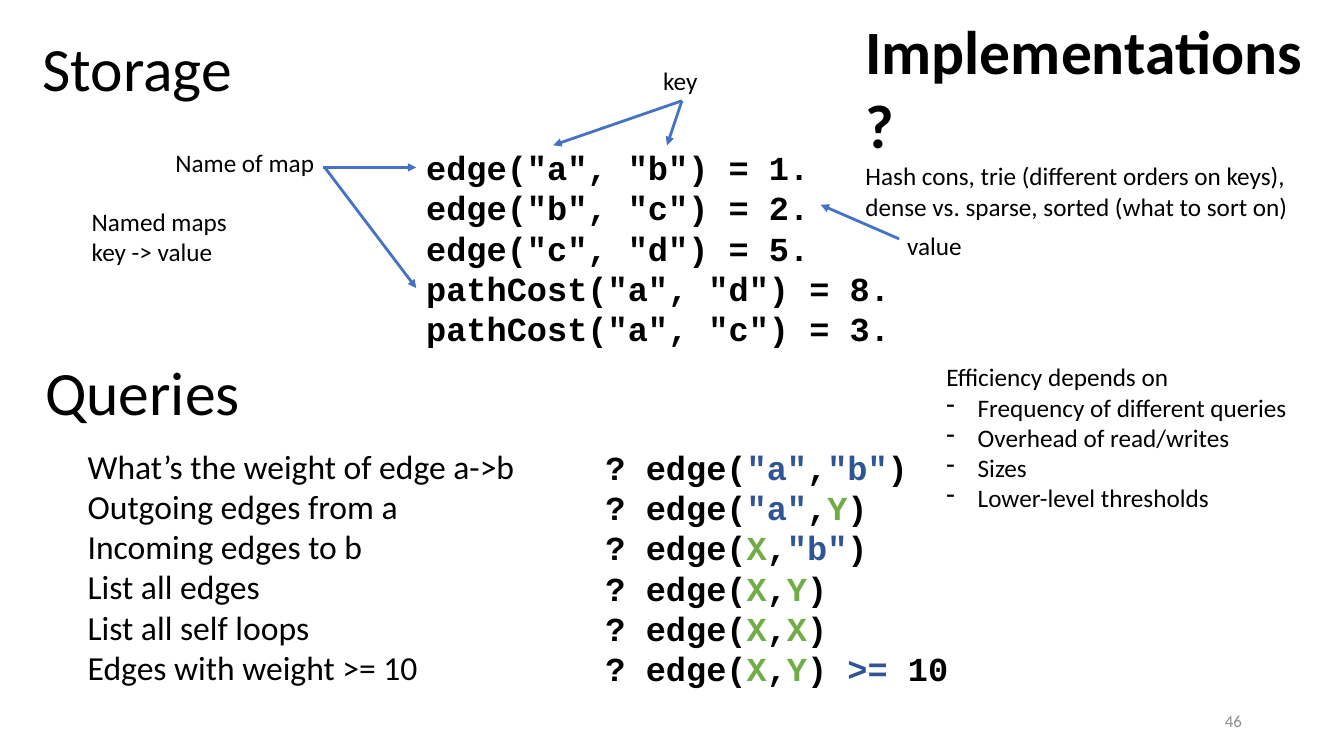
from dataclasses import dataclass

from lxml import etree
from pptx import Presentation
from pptx.dml.color import RGBColor
from pptx.enum import shapes, text
from pptx.oxml.ns import qn
from pptx.util import Cm, Pt

BLACK, GREY = "000000", "8C8C8C"
CONSTANT_BLUE, VARIABLE_GREEN, ARROW_BLUE = "2F5597", "70AD47", "4472C4"
BODY_FONT, CODE_FONT = "Calibri", "Courier New"


@dataclass
class TextBlock:
    left: float
    top: float
    width: float
    height: float
    lines: list[str]
    size: int = 18
    font: str = BODY_FONT
    bold: bool = False
    wrap: bool = True


@dataclass
class Arrow:
    start: tuple[float, float]
    end: tuple[float, float]


STORAGE_FACTS = TextBlock(10.49, 3.58, 12.88, 5.38, [
    'edge("a", "b") = 1.',
    'edge("b", "c") = 2.',
    'edge("c", "d") = 5.',
    'pathCost("a", "d") = 8.',
    'pathCost("a", "c") = 3.',
], 24, CODE_FONT, True)
QUERIES_HEADING = TextBlock(0.89, 8.79, 29.95, 2.13, ["Queries"], 44)
QUESTIONS = TextBlock(1.96, 11.1, 12.67, 6.4, [
    "What’s the weight of edge a->b",
    "Outgoing edges from a",
    "Incoming edges to b",
    "List all edges",
    "List all self loops",
    "Edges with weight >= 10",
], 24)
MAP_NAME_LABEL = TextBlock(4.17, 3.58, 4.06, 1.02, ["Name of map"], wrap=False)
KEY_LABEL = TextBlock(16.46, 1.52, 1.45, 1.02, ["key"], wrap=False)
VALUE_LABEL = TextBlock(22.61, 5.69, 1.9, 1.02, ["value"], wrap=False)
NAMED_MAPS = TextBlock(2.06, 5.08, 4.11, 1.8,
                       ["Named maps", "key -> value"], wrap=False)
IMPLEMENTATIONS = TextBlock(21.56, 0.2, 12.17, 3.68, [
    "Implementations?",
    "Hash cons, trie (different orders on keys), "
    "dense vs. sparse, sorted (what to sort on)",
])
EFFICIENCY = TextBlock(23.6, 8.99, 9.78, 4.11, [
    "Efficiency depends on",
    "Frequency of different queries",
    "Overhead of read/writes",
    "Sizes",
    "Lower-level thresholds",
])
PAGE_NUMBER = TextBlock(23.93, 17.65, 7.62, 1.02, ["46"], 12)

QUERY_AREA = TextBlock(15.01, 11.13, 12.75, 6.4, [], 24, CODE_FONT, True)
QUERIES = [
    ('"a"', '"b"', [")"]),
    ('"a"', "Y", [")"]),
    ("X", '"b"', [")"]),
    ("X", "Y", [")"]),
    ("X", "X", [")"]),
    ("X", "Y", [") ", ">=", " 10"]),
]

KEY_ARROWS = [Arrow((17.18, 2.54), (13.94, 3.66)),
              Arrow((17.18, 2.54), (16.81, 3.66))]
FREE_ARROWS = [Arrow((8.13, 4.22), (10.49, 4.22)),
               Arrow((8.2, 4.24), (10.49, 7.26)),
               Arrow((22.66, 6.02), (20.68, 5.16))]


def style_run(run, size: int, font: str = BODY_FONT, bold: bool = False,
              color: str = BLACK) -> None:
    run.font.size = Pt(size)
    run.font.name = font
    run.font.bold = bold
    run.font.color.rgb = RGBColor.from_string(color)


def add_text(slide, block: TextBlock):
    box = slide.shapes.add_textbox(Cm(block.left), Cm(block.top),
                                   Cm(block.width), Cm(block.height))
    frame = box.text_frame
    frame.text = "\n".join(block.lines)
    frame.word_wrap = block.wrap
    frame.auto_size = text.MSO_AUTO_SIZE.SHAPE_TO_FIT_TEXT
    for paragraph in frame.paragraphs:
        for run in paragraph.runs:
            style_run(run, block.size, block.font, block.bold)
    return box


def add_arrow(slide, arrow: Arrow):
    line = slide.shapes.add_connector(
        shapes.MSO_CONNECTOR.STRAIGHT,
        *(Cm(value) for value in arrow.start + arrow.end))
    line.line.color.rgb = RGBColor.from_string(ARROW_BLUE)
    line.line.width = Pt(2)
    etree.SubElement(line.line._get_or_add_ln(), qn("a:tailEnd"), type="triangle")
    etree.SubElement(line._element.spPr, qn("a:effectLst"))
    return line


def add_dash(paragraph) -> None:
    properties = paragraph._p.get_or_add_pPr()
    properties.set("marL", str(Cm(0.79)))
    properties.set("indent", str(-Cm(0.79)))
    etree.SubElement(properties, qn("a:buChar"), char="-")


def token_color(token: str) -> str:
    if token.startswith('"') or token == ">=":
        return CONSTANT_BLUE
    return VARIABLE_GREEN if token.isupper() else BLACK


def add_queries(slide) -> None:
    frame = add_text(slide, QUERY_AREA).text_frame
    for index, (source, target, ending) in enumerate(QUERIES):
        paragraph = frame.add_paragraph() if index else frame.paragraphs[0]
        for token in ["? edge(", source, ",", target, *ending]:
            run = paragraph.add_run()
            run.text = token
            style_run(run, QUERY_AREA.size, QUERY_AREA.font, QUERY_AREA.bold,
                      token_color(token))


def set_title(slide) -> None:
    title = slide.shapes.title
    title.left, title.top = Cm(0.81), Cm(-0.03)
    title.width, title.height = Cm(29.21), Cm(3.68)
    frame = title.text_frame
    frame.text = "Storage"
    frame.vertical_anchor = text.MSO_ANCHOR.MIDDLE
    frame.auto_size = text.MSO_AUTO_SIZE.NONE
    heading = frame.paragraphs[0]
    heading.alignment = text.PP_ALIGN.LEFT
    heading.line_spacing = 0.9
    style_run(heading.runs[0], 44)


def main() -> None:
    deck = Presentation()
    deck.slide_width, deck.slide_height = Cm(33.87), Cm(19.05)
    slide = deck.slides.add_slide(deck.slide_layouts[5])
    set_title(slide)

    for block in (STORAGE_FACTS, QUERIES_HEADING, QUESTIONS,
                  MAP_NAME_LABEL, VALUE_LABEL, NAMED_MAPS):
        add_text(slide, block)
    add_queries(slide)

    key_label = add_text(slide, KEY_LABEL)
    for arrow in KEY_ARROWS:
        add_arrow(slide, arrow).begin_connect(key_label, 2)
    for arrow in FREE_ARROWS:
        add_arrow(slide, arrow)

    implementations = add_text(slide, IMPLEMENTATIONS).text_frame
    style_run(implementations.paragraphs[0].runs[0], 44, bold=True)

    efficiency = add_text(slide, EFFICIENCY).text_frame
    for factor in efficiency.paragraphs[1:]:
        add_dash(factor)

    page_number = add_text(slide, PAGE_NUMBER).text_frame
    page_number.auto_size = text.MSO_AUTO_SIZE.NONE
    page_number.vertical_anchor = text.MSO_ANCHOR.MIDDLE
    page_number.paragraphs[0].alignment = text.PP_ALIGN.RIGHT
    style_run(page_number.paragraphs[0].runs[0], PAGE_NUMBER.size, color=GREY)

    deck.save("out.pptx")


if __name__ == "__main__":
    main()
